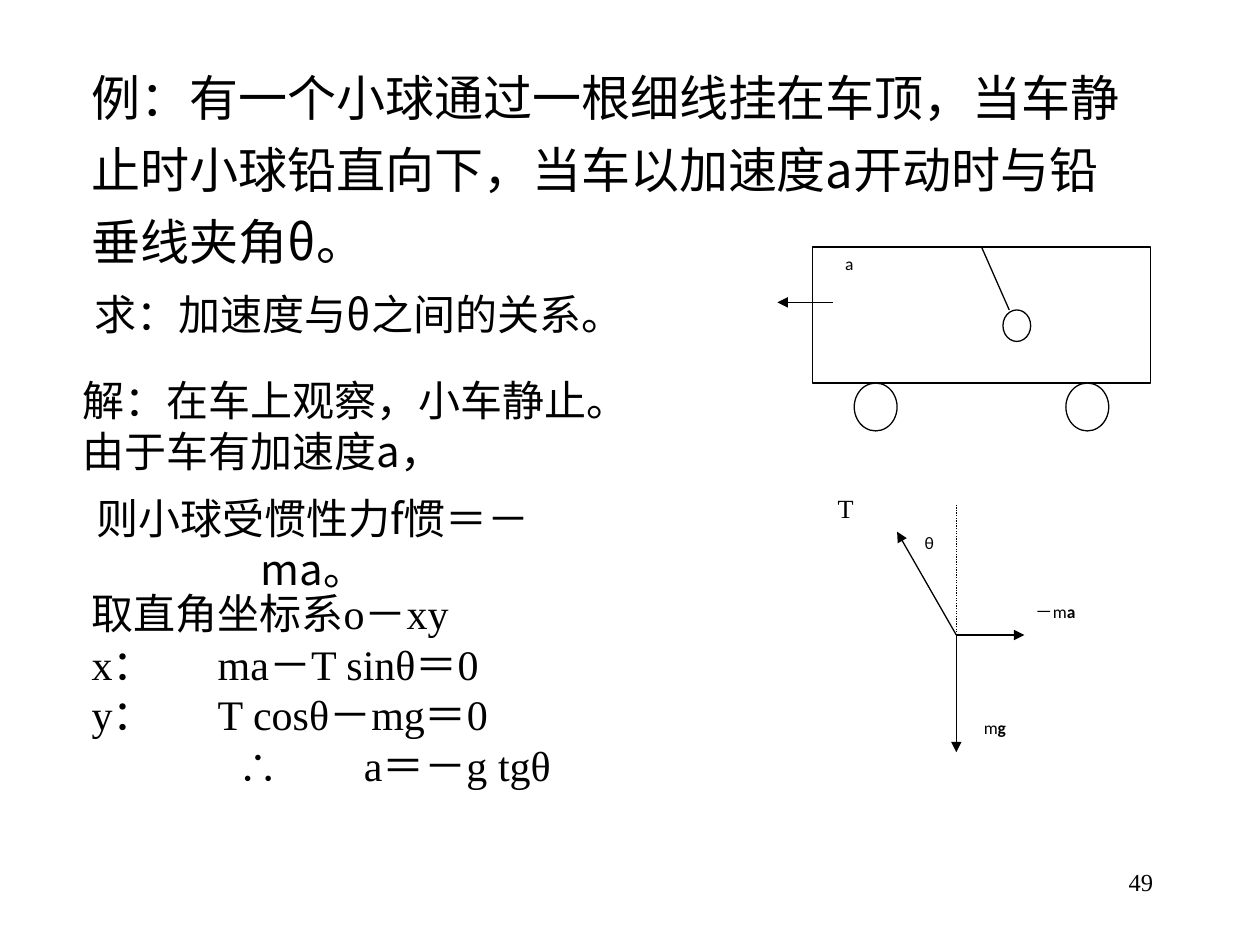
"""Build a physics example slide: a ball hanging in an accelerating car."""
from lxml.etree import SubElement
from pptx import Presentation
from pptx.dml.color import RGBColor
from pptx.enum.dml import MSO_LINE
from pptx.enum.shapes import MSO_CONNECTOR, MSO_SHAPE
from pptx.enum.text import MSO_ANCHOR, MSO_AUTO_SIZE, PP_ALIGN
from pptx.oxml.ns import qn
from pptx.util import Inches, Pt

COLORS = {"ink": "000000", "paper": "FFFFFF"}
CJK, SERIF, SANS = "Noto Sans CJK SC", "Times New Roman", "Calibri"
LEFT, CENTER, RIGHT, JUSTIFY = PP_ALIGN.LEFT, PP_ALIGN.CENTER, PP_ALIGN.RIGHT, PP_ALIGN.JUSTIFY
TITLE_SIZE, BODY_SIZE, LABEL_SIZE = 28, 24, 10
TITLE_PITCH, BODY_PITCH = 41, 29

PROBLEM = [(LEFT, [("例：有一个小球通过一根细线挂在车顶，当车静止时小球铅直向下，"
                    "当车以加速度a开动时与铅垂线夹角θ。", CJK, False)])]
STEPS = [
    ((0.56, 2.24, 4.58, 0.5), False, [(CENTER, [("求：加速度与θ之间的关系。", CJK, False)])]),
    ((0.56, 2.92, 5, 0.91), True, [
        (JUSTIFY, [("解：在车上观察，小车静止。", CJK, False)]),
        (LEFT, [("由于车有加速度a，", CJK, False)])]),
    ((0.56, 3.86, 3.85, 0.5), True, [(CENTER, [("则小球受惯性力f惯＝－ma。", CJK, False)])]),
    ((0.63, 4.61, 5, 1.72), True, [
        (JUSTIFY, [("取直角坐标系", CJK, False), ("o－xy", SERIF, False)]),
        (JUSTIFY, [("x：\tma－T sinθ＝0", SERIF, False)]),
        (JUSTIFY, [("y：\tT cosθ－mg＝0", SERIF, False)]),
        (CENTER, [("∴\t\ta＝－g tgθ", SERIF, False)])]),
]
PAGE_NUMBER = [(RIGHT, [("49", SERIF, False)])]

CAR = (6.45, 1.96, 2.68, 1.08)
WHEEL_SIZE, BALL_SIZE = (0.34, 0.38), (0.22, 0.25)
WHEEL_OFFSETS = (0.33, 2.01)
STRING_END = (8.01, 2.46)
ORIGIN = (7.59, 5.04)
FORCES = [((0, 0.93), True), ((0.54, 0), True), ((-0.47, -0.82), True), ((0, -1.03), False)]
FORCE_LABELS = [
    ((6.55, 3.86), 15, [("T", SERIF, False)]),
    ((8.12, 4.72), LABEL_SIZE, [("－m", SANS, False), ("a", SANS, True)]),
    ((7.71, 5.64), LABEL_SIZE, [("m", SANS, False), ("g", SANS, True)]),
    ((7.24, 4.17), LABEL_SIZE, [("θ", SANS, False)]),
]


def ink(name):
    return RGBColor.from_string(COLORS[name])


def write(frame, paragraphs, size, pitch=None):
    for index, (align, runs) in enumerate(paragraphs):
        paragraph = frame.paragraphs[0] if index == 0 else frame.add_paragraph()
        paragraph.alignment = align
        if pitch:
            paragraph.line_spacing = Pt(pitch)
        for text, typeface, bold in runs:
            run = paragraph.add_run()
            run.text = text
            run.font.size, run.font.name, run.font.bold = Pt(size), typeface, bold
            run.font.color.rgb = ink("ink")
            SubElement(run.font._element, qn("a:ea")).set("typeface", CJK)


def add_text(parent, box, paragraphs, size, pitch=None, wrap=True, grow=False):
    frame = parent.add_textbox(*map(Inches, box)).text_frame
    frame.word_wrap = wrap
    frame.auto_size = MSO_AUTO_SIZE.SHAPE_TO_FIT_TEXT if grow else MSO_AUTO_SIZE.NONE
    write(frame, paragraphs, size, pitch)


def add_outline(parent, preset, box):
    shape = parent.add_shape(preset, *map(Inches, box))
    shape.shadow.inherit = False
    shape.fill.solid()
    shape.fill.fore_color.rgb = ink("paper")
    shape.line.color.rgb = ink("ink")
    shape.line.width = Pt(0.75)


def add_line(parent, start, end, width=0.75, arrow=False, dotted=False):
    line = parent.add_connector(MSO_CONNECTOR.STRAIGHT, *map(Inches, start + end))
    line.line.color.rgb = ink("ink")
    line.line.width = Pt(width)
    if dotted:
        line.line.dash_style = MSO_LINE.ROUND_DOT
    if arrow:
        SubElement(line.line._get_or_add_ln(), qn("a:tailEnd")).set("type", "triangle")
    SubElement(line._element.spPr, qn("a:effectLst"))


def draw_car(parent):
    left, top, width, height = CAR
    add_outline(parent, MSO_SHAPE.RECTANGLE, CAR)
    add_line(parent, (6.61, 2.4), (6.17, 2.4), width=1, arrow=True)
    add_line(parent, (left + width / 2, top), STRING_END)
    add_outline(parent, MSO_SHAPE.OVAL, (7.96, STRING_END[1]) + BALL_SIZE)
    for offset in WHEEL_OFFSETS:
        add_outline(parent, MSO_SHAPE.OVAL, (left + offset, top + height) + WHEEL_SIZE)
    add_text(parent, (6.61, top, 0.5, 0.63), [(JUSTIFY, [("a", SANS, False)])], LABEL_SIZE)


def draw_forces(parent):
    for (dx, dy), is_force in FORCES:
        tip = (ORIGIN[0] + dx, ORIGIN[1] + dy)
        add_line(parent, ORIGIN, tip, arrow=is_force, dotted=not is_force)
    for corner, size, runs in FORCE_LABELS:
        add_text(parent, corner + (1.13, 0.87), [(JUSTIFY, runs)], size)


def main():
    deck = Presentation()
    deck.slide_width, deck.slide_height = Inches(10), Inches(7.5)
    slide = deck.slides.add_slide(deck.slide_layouts[5])
    title = slide.shapes.title
    title.left, title.top, title.width, title.height = map(Inches, (0.63, 0.62, 8.5, 1.34))
    title.text_frame.auto_size = MSO_AUTO_SIZE.NONE
    title.text_frame.vertical_anchor = MSO_ANCHOR.MIDDLE
    write(title.text_frame, PROBLEM, TITLE_SIZE, TITLE_PITCH)
    draw_car(slide.shapes.add_group_shape().shapes)
    draw_forces(slide.shapes.add_group_shape().shapes)
    for box, wrap, paragraphs in STEPS:
        add_text(slide.shapes, box, paragraphs, BODY_SIZE, BODY_PITCH, wrap, grow=True)
    add_text(slide.shapes, (7.17, 6.83, 2.08, 0.5), PAGE_NUMBER, 14)
    deck.save("out.pptx")


if __name__ == "__main__":
    main()
